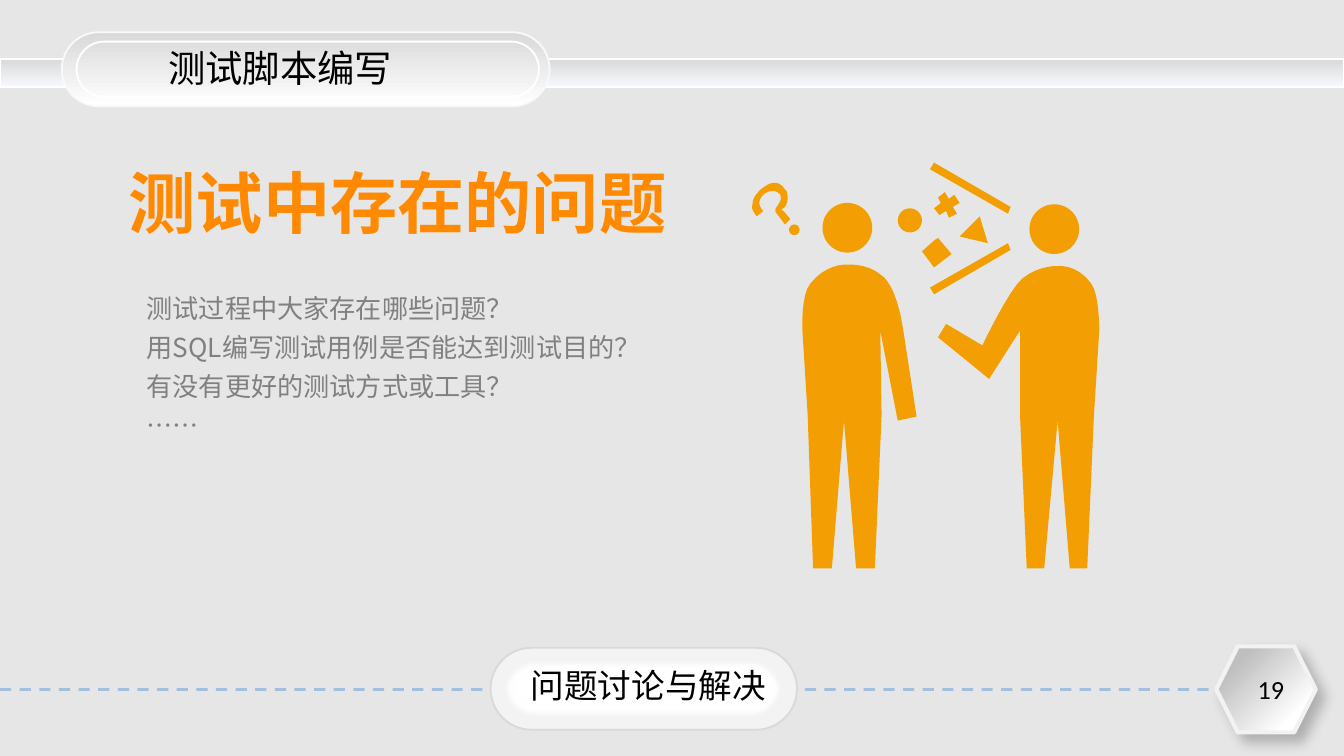
"""Build a discussion slide about problems found in testing."""
import pptx
import pptx.dml.color
import pptx.enum.dml
import pptx.enum.shapes
import pptx.enum.text
import pptx.oxml
import pptx.oxml.ns
import pptx.util

Pt = pptx.util.Pt
Kind = pptx.enum.shapes.MSO_SHAPE
Mid = pptx.enum.text.MSO_ANCHOR
qn = pptx.oxml.ns.qn
NS = pptx.oxml.ns.nsdecls("a")
hue = pptx.dml.color.RGBColor.from_string
CJK = "Noto Sans CJK SC"
GOLD = "F39E02"

deck = pptx.Presentation()
deck.slide_width = pptx.util.Inches(10)
deck.slide_height = deck.slide_width * 9 // 16
cell = deck.slide_width // 1000
slide = deck.slides.add_slide(deck.slide_layouts[1])
slide.background.fill.solid()
slide.background.fill.fore_color.rgb = hue("E7E6E6")
title, body = slide.placeholders
tree = title.element.getparent()


def draw(host, kind, area, fill=None, line=None, width=1):
    """Add a preset shape on the grid; a pair of fills makes a gradient."""
    shape = host.add_shape(kind, *[n * cell for n in area])
    shape.shadow.inherit = False
    if isinstance(fill, tuple):
        angle, *stops = fill
        shape.fill.gradient()
        shape.fill.gradient_angle = angle
        for stop, (spot, tone) in zip(shape.fill.gradient_stops, stops):
            stop.position, stop.color.rgb = spot, hue(tone)
    elif fill:
        shape.fill.solid()
        shape.fill.fore_color.rgb = hue(fill)
    else:
        shape.fill.background()
    if line:
        shape.line.color.rgb = hue(line)
        shape.line.width = Pt(width)
    else:
        shape.line.fill.background()
    if kind == Kind.ROUNDED_RECTANGLE:
        shape.adjustments[0] = 0.5
    return shape


def write(box, area, lines, size, tone="000000", bold=False, space=0.9, anchor=Mid.MIDDLE, font=CJK):
    """Place a text box or placeholder and fill it run by run."""
    box.left, box.top, box.width, box.height = [n * cell for n in area]
    frame = box.text_frame
    frame.word_wrap = True
    frame.auto_size = pptx.enum.text.MSO_AUTO_SIZE.NONE
    frame.vertical_anchor = anchor
    for i, line in enumerate(lines):
        para = frame.add_paragraph() if i else frame.paragraphs[0]
        para.alignment = pptx.enum.text.PP_ALIGN.LEFT
        para.line_spacing = space
        para.space_before = Pt(0)
        run = para.add_run()
        run.text = line
        run.font.size, run.font.bold, run.font.name = Pt(size), bold, font
        run.font.color.rgb = hue(tone)
    for props in box.element.iter(qn("a:pPr")):
        props.set("marL", "0")
        props.set("indent", "0")
        props.append(pptx.oxml.parse_xml(f"<a:buNone {NS}/>"))
    for props in box.element.iter(qn("a:rPr")):
        props.append(pptx.oxml.parse_xml(f'<a:ea {NS} typeface="{font}"/>'))
    tree.append(box.element)


base = slide.shapes
badge = draw(base, Kind.HEXAGON, (905, 481, 74, 64), (315, (0.2, "BFBFBF"), (0.8, "FFFFFF")), "F2F2F2", 2.25)
badge.element.spPr.find(qn("a:effectLst")).append(pptx.oxml.parse_xml(
    f'<a:outerShdw {NS} blurRad="88900" dist="75000" dir="2700000">'
    '<a:srgbClr val="000000"><a:alpha val="23000"/></a:srgbClr></a:outerShdw>'))
write(base.add_textbox(0, 0, 0, 0), (926, 496, 44, 34), ["19"], 14, space=1, font="Calibri")

draw(base, Kind.RECTANGLE, (0, 44, 1000, 21), (270, (0, "D9D9D9"), (1, "F7FAFD")), "FFFFFF")
draw(base, Kind.ROUNDED_RECTANGLE, (46, 24, 363, 55), (270, (0, "D9D9D9"), (1, "FFFFFF")), "F7FAFD")
draw(base, Kind.ROUNDED_RECTANGLE, (57, 31, 344, 41), None, "FFFFFF")

rule = base.add_connector(pptx.enum.shapes.MSO_CONNECTOR.STRAIGHT, 0, 513 * cell, 904 * cell, 513 * cell)
rule.line.color.rgb = hue("5B9BD5")
rule.line.width = Pt(1.5)
rule.line.dash_style = pptx.enum.dml.MSO_LINE.DASH
rule.element.spPr.find(".//" + qn("a:srgbClr")).append(pptx.oxml.parse_xml(f'<a:alpha {NS} val="50000"/>'))
rule.element.spPr.append(pptx.oxml.parse_xml(f"<a:effectLst {NS}/>"))

draw(base, Kind.ROUNDED_RECTANGLE, (365, 482, 228, 61), "F3F3F3", "D9D9D9")
glow = draw(base, Kind.ROUNDED_RECTANGLE, (374, 491, 208, 43), "FFFFFF")
glow.element.spPr.find(qn("a:effectLst")).append(pptx.oxml.parse_xml(f'<a:softEdge {NS} rad="31750"/>'))

write(base.add_textbox(0, 0, 0, 0), (385, 496, 218, 31), ["问题讨论与解决"], 18)
write(base.add_textbox(0, 0, 0, 0), (86, 97, 448, 101), ["测试中存在的问题"], 36, "FF8900", True, 1.3, Mid.TOP)
write(body, (99, 207, 460, 187), [
    "测试过程中大家存在哪些问题？",
    "用SQL编写测试用例是否能达到测试目的？",
    "有没有更好的测试方式或工具？",
    "……",
], 14, "808080", space=1.24, anchor=Mid.TOP)

pair = base.add_group_shape().shapes
for area in [(612, 151, 37, 37), (766, 152, 37, 37), (668, 155, 18, 18), (587, 167, 8, 8)]:
    draw(pair, Kind.OVAL, area, GOLD)

query = [(583, 157), (588, 163), (584, 167), (578, 159), (578, 159, 577, 158, 577, 157),
         (577, 156, 577, 155, 578, 154), (580, 151, 581, 149, 581, 148), (581, 147, 581, 145, 580, 144),
         (578, 143, 577, 142, 575, 142), (573, 142, 570, 143, 568, 145), (566, 147, 565, 149, 565, 151),
         (565, 153, 566, 155, 568, 157), (563, 161), (560, 157, 559, 155, 560, 152),
         (560, 148, 562, 145, 566, 141), (570, 138, 573, 136, 576, 136), (580, 136, 582, 138, 584, 141),
         (586, 142, 586, 145, 586, 147), (586, 149, 586, 151, 584, 154), (583, 155, 582, 155, 582, 156),
         (582, 157, 582, 157, 583, 157)]
hearer = [(655, 246), (656, 309), (651, 423), (637, 423), (628, 313), (619, 423), (605, 423), (601, 309),
          (597, 245), (597, 245, 596, 219, 603, 211), (614, 197, 628, 197, 628, 197),
          (628, 197, 645, 195, 656, 205), (656, 205, 667, 211, 672, 245), (682, 310), (668, 313)]
talker = [(761, 207), (774, 197, 787, 198, 787, 198), (787, 198, 801, 196, 812, 211),
          (818, 219, 818, 245, 818, 245), (814, 309), (809, 423), (796, 423), (787, 313), (777, 423),
          (764, 423), (759, 309), (759, 246), (736, 282), (698, 251), (704, 241), (731, 257),
          (731, 257, 751, 215, 761, 207)]
low = [(750, 181), (692, 214), (695, 219), (752, 186)]
high = [(x, 340 - y) for x, y in low]
block = [(695, 179), (686, 187), (695, 199), (708, 189), (698, 177)]
cross = [(710, 145), (706, 148), (703, 143), (698, 147), (700, 151), (695, 155), (699, 160), (704, 157),
         (706, 162), (712, 159), (709, 154), (714, 151)]
wedge = [(729, 161), (714, 176), (735, 181)]

for path in [query, hearer, talker, low, high, block, cross, wedge]:
    dots = [path[0]]
    for step in path[1:]:
        if len(step) == 2:
            dots.append(step)
            continue
        x, y = dots[-1]
        a, b, c, d, e, f = step
        for t in [n / 8 for n in range(1, 9)]:
            u = 1 - t
            k = u**3, 3 * u * u * t, 3 * u * t * t, t**3
            dots.append((k[0] * x + k[1] * a + k[2] * c + k[3] * e,
                         k[0] * y + k[1] * b + k[2] * d + k[3] * f))
    pen = pair.build_freeform(*[n * cell for n in dots[0]])
    pen.add_line_segments([(x * cell, y * cell) for x, y in dots[1:]])
    form = pen.convert_to_shape()
    form.shadow.inherit = False
    form.fill.solid()
    form.fill.fore_color.rgb = hue(GOLD)
    form.line.fill.background()

write(title, (115, 34, 218, 28), ["测试脚本编写"], 20)
title.text_frame.margin_top, title.text_frame.margin_bottom = 8 * cell, 0

deck.save("out.pptx")
